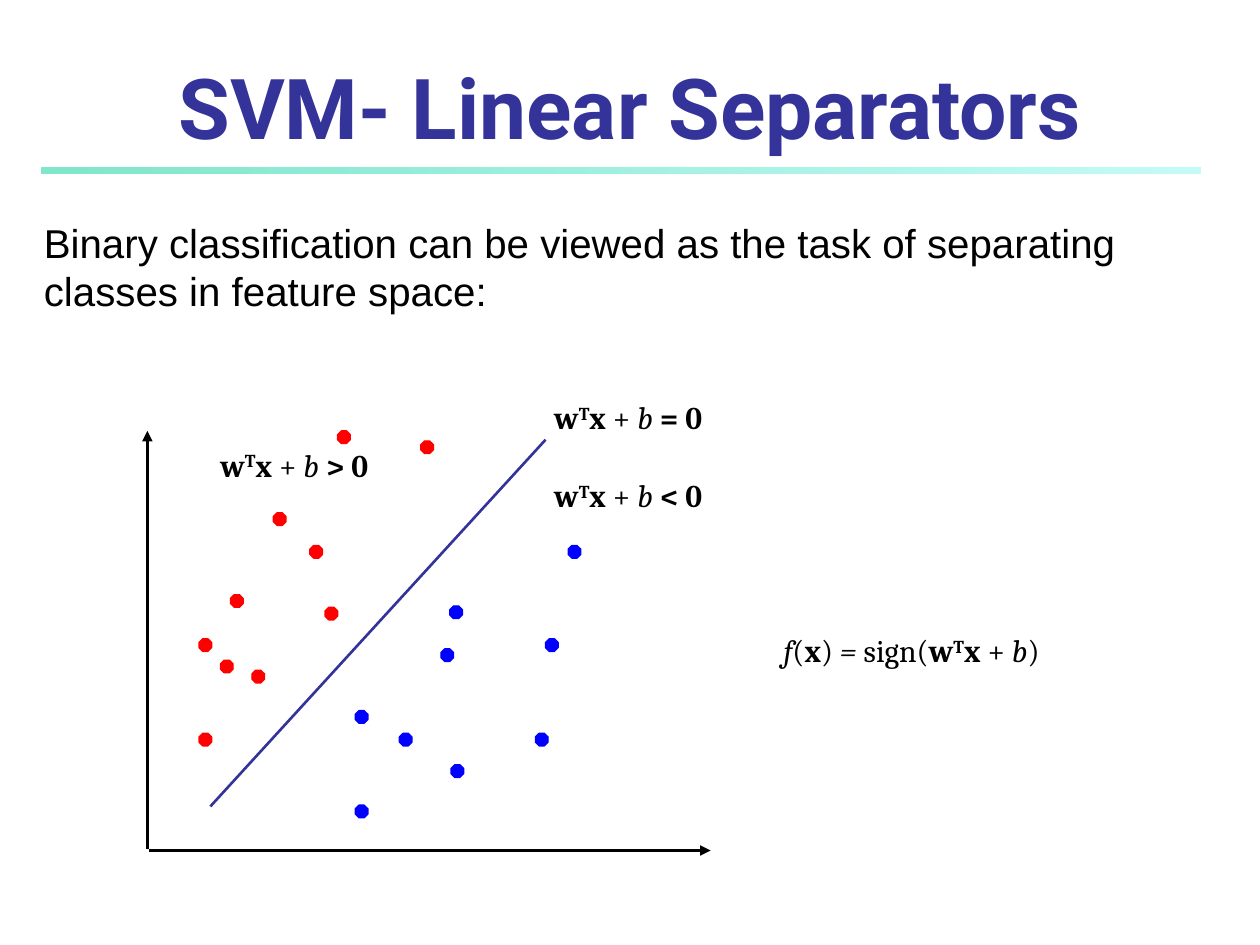
from lxml import etree
from pptx import Presentation
from pptx import util as u
from pptx.dml.color import RGBColor
from pptx.enum import shapes, text
from pptx.oxml.ns import qn

COLORS = {
    "title": "333399", "text": "000000", "positive": "FF0000", "negative": "0000FF",
    "rule_start": "00CE98", "rule_end": "8FF9EF",
}
MARKER_SIZE = 0.1

# Top left corners of the markers of each class
POINTS = {
    "positive": [(2.46, 4.33), (1.83, 4.72), (2, 5.32), (1.58, 5.82), (2.17, 4.07),
                 (1.58, 5.07), (1.75, 5.24), (2.58, 4.82), (2.68, 3.42), (3.34, 3.5)],
    "negative": [(3.57, 4.81), (3.17, 5.82), (4.25, 5.82), (2.82, 6.39), (3.5, 5.15),
                 (2.82, 5.64), (3.58, 6.07), (4.33, 5.07), (4.51, 4.33)],
}

# Formula runs: text and style letters (b bold, i italic, s superscript)
LINEAR_TERM = [("w", "b"), ("T", "bs"), ("x ", "b"), ("+ ", ""), ("b", "i")]
DECISION = [("f", "i"), ("(", ""), ("x", "b"), (")", ""), (" = ", "i"), ("sign(", ""),
            *LINEAR_TERM, (")", "")]


def rgb(name):
    return RGBColor.from_string(COLORS[name])


class SlideBuilder:
    body_font, formula_font, title_font = "Arial", "Cambria", "Roboto"

    def __init__(self, slide):
        self.slide = slide

    def add_run(self, paragraph, content, font, size, style="", color="text"):
        run = paragraph.add_run()
        run.text = content
        run.font.name = font
        run.font.size = u.Pt(size)
        run.font.bold = "b" in style
        run.font.italic = "i" in style
        run.font.color.rgb = rgb(color)
        if "s" in style:
            run._r.get_or_add_rPr().set("baseline", "30000")

    def title(self, content, left, top, width, height):
        shape = self.slide.shapes.title
        shape.left, shape.top = u.Inches(left), u.Inches(top)
        shape.width, shape.height = u.Inches(width), u.Inches(height)
        shape.text_frame.vertical_anchor = text.MSO_ANCHOR.BOTTOM
        paragraph = shape.text_frame.paragraphs[0]
        paragraph.alignment = text.PP_ALIGN.CENTER
        self.add_run(paragraph, content, self.title_font, 48, "b", "title")

    def text_box(self, runs, left, top, width, height, font, size):
        shape = self.slide.shapes.add_textbox(
            u.Inches(left), u.Inches(top), u.Inches(width), u.Inches(height))
        shape.text_frame.word_wrap = True
        shape.text_frame.auto_size = text.MSO_AUTO_SIZE.SHAPE_TO_FIT_TEXT
        for content, style in runs:
            self.add_run(shape.text_frame.paragraphs[0], content, font, size, style)

    def formula(self, runs, left, top, width=2.92):
        self.text_box(runs, left, top, width, 0.5, self.formula_font, 18)

    def gradient_rule(self, left, top, width, height):
        shape = self.slide.shapes.add_shape(
            shapes.MSO_SHAPE.RECTANGLE,
            u.Inches(left), u.Inches(top), u.Inches(width), u.Inches(height))
        shape.shadow.inherit = False
        shape.line.fill.background()
        shape.fill.gradient()
        shape.fill.gradient_angle = 0
        for stop, color in zip(shape.fill.gradient_stops, ("rule_start", "rule_end")):
            stop.color.rgb = rgb(color)
        stop_colors = shape._element.spPr.find(qn("a:gradFill")).iter(qn("a:srgbClr"))
        for stop_color, opacity in zip(stop_colors, (50, 52)):
            etree.SubElement(stop_color, qn("a:alpha")).set("val", str(opacity * 1000))

    def marker(self, left, top, color):
        shape = self.slide.shapes.add_shape(
            shapes.MSO_SHAPE.OCTAGON, u.Inches(left), u.Inches(top),
            u.Inches(MARKER_SIZE), u.Inches(MARKER_SIZE))
        shape.shadow.inherit = False
        shape.fill.solid()
        shape.fill.fore_color.rgb = rgb(color)
        shape.line.color.rgb = rgb(color)
        shape.line.width = u.Pt(0.75)

    def line(self, start, end, color, width, arrow=False):
        connector = self.slide.shapes.add_connector(
            shapes.MSO_CONNECTOR.STRAIGHT, *(u.Inches(value) for value in (*start, *end)))
        connector.line.color.rgb = rgb(color)
        connector.line.width = u.Pt(width)
        if arrow:
            line_xml = connector.line._get_or_add_ln()
            etree.SubElement(line_xml, qn("a:tailEnd")).set("type", "triangle")
        etree.SubElement(connector._element.spPr, qn("a:effectLst"))


def main():
    presentation = Presentation()
    presentation.slide_width, presentation.slide_height = u.Inches(10), u.Inches(7.5)
    builder = SlideBuilder(presentation.slides.add_slide(presentation.slide_layouts[5]))

    # Heading and introduction
    builder.gradient_rule(0.33, 1.33, 9.2, 0.05)
    builder.title("SVM- Linear Separators", 0.5, 0.33, 9, 0.96)
    introduction = ("Binary classification can be viewed as the task of separating "
                    "classes in feature space:")
    builder.text_box([(introduction, "")], 0.25, 1.68, 9.67, 0.88, builder.body_font, 23)

    # Axes and separating line
    builder.line((1.17, 6.74), (1.17, 3.42), "text", 2, arrow=True)
    builder.line((1.18, 6.75), (5.64, 6.75), "text", 2, arrow=True)
    builder.line((1.67, 6.4), (4.33, 3.49), "title", 1.5)

    # Data points of both classes
    for color, corners in POINTS.items():
        for left, top in corners:
            builder.marker(left, top, color)

    # Formulas
    for relation, left, top in (("=", 4.3, 3.11), ("<", 4.3, 3.73), (">", 1.65, 3.49)):
        builder.formula([*LINEAR_TERM, (f" {relation} 0", "b")], left, top)
    builder.formula(DECISION, 6.12, 4.96, 3.21)

    presentation.save("out.pptx")


if __name__ == "__main__":
    main()
